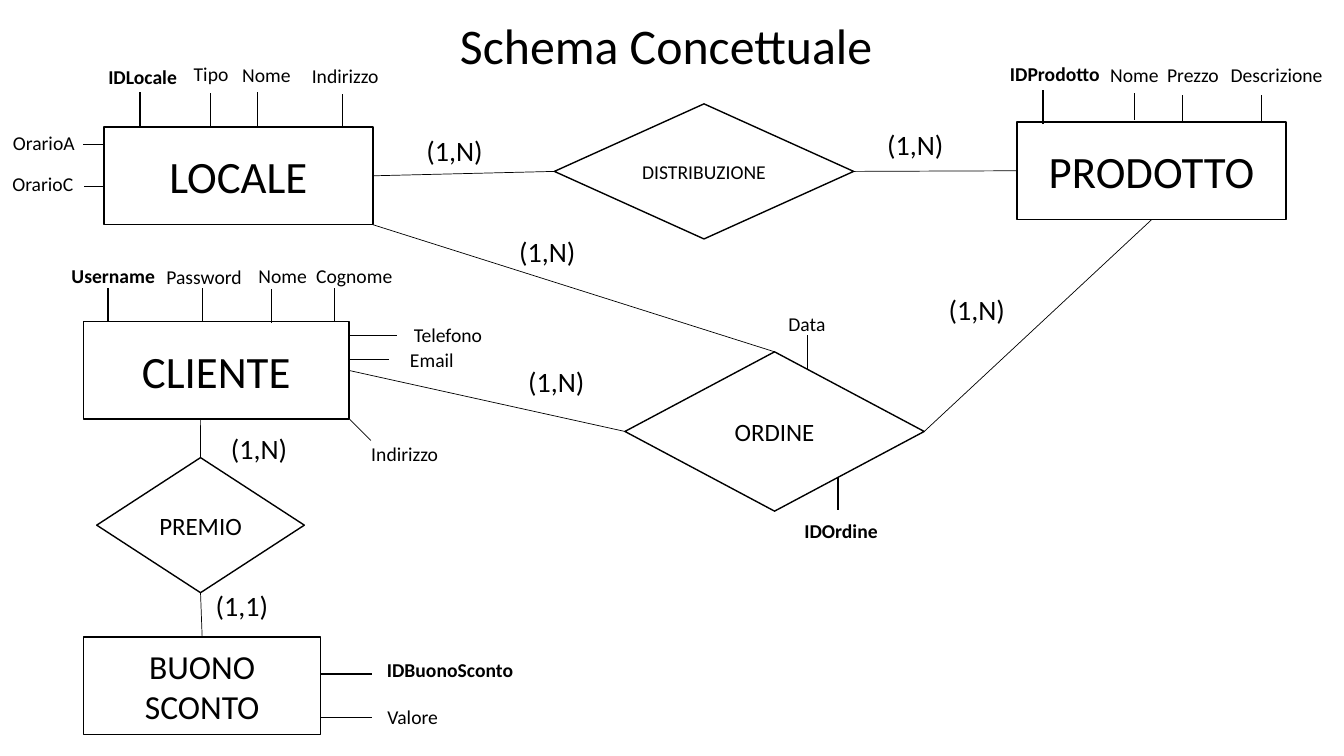
from lxml import etree
from pptx import Presentation
from pptx import util as u
from pptx.dml import color as c
from pptx.enum import shapes as s, text as t
from pptx.oxml import ns

# Content: name -> left, top, width, height, text size
TITLE = "Schema Concettuale"
ENTITIES = {
    "LOCALE": (74.2, 90.7, 192.2, 69.8, 32),
    "PRODOTTO": (726.5, 87.1, 192.2, 69.8, 32),
    "CLIENTE": (59.8, 229.7, 189.4, 69.8, 32),
    "BUONO SCONTO": (59.8, 455, 169.2, 69.8, 24),
}
RELATIONS = {
    "DISTRIBUZIONE": (396, 74.2, 213.8, 96.5, 14),
    "ORDINE": (446.4, 251.3, 213.8, 113.8, 17.8),
    "PREMIO": (69.1, 326.9, 148.3, 96.5, 17.8),
}

# Anchors as fractions of a box; those in SITES are glued
TOP, LEFT, BOTTOM, RIGHT = (0.5, 0), (0, 0.5), (0.5, 1), (1, 0.5)
SITES = [TOP, LEFT, BOTTOM, RIGHT]
CORNER, ABOVE = (1, 1), (0.44, 1)

# Each link: start, end, cardinality, label centre
LINKS = [
    ("LOCALE", RIGHT, "DISTRIBUZIONE", LEFT, "(1,N)", 324.7, 107.3),
    ("DISTRIBUZIONE", RIGHT, "PRODOTTO", LEFT, "(1,N)", 653.8, 103),
    ("CLIENTE", RIGHT, "ORDINE", LEFT, "(1,N)", 397.4, 272.2),
    ("PRODOTTO", BOTTOM, "ORDINE", RIGHT, "(1,N)", 697.7, 221),
    ("LOCALE", CORNER, "ORDINE", TOP, "(1,N)", 391, 179.3),
    ("CLIENTE", ABOVE, "PREMIO", TOP, "(1,N)", 185, 320.4),
    ("PREMIO", BOTTOM, "BUONO SCONTO", TOP, "(1,1)", 172.8, 432),
]

# Attributes by stub direction: name, label centre, stub start
KEYS = {"IDLocale", "IDProdotto", "Username", "IDBuonoSconto", "IDOrdine"}
STUBS = {
    (0, -24): [
        ("IDLocale", 101.9, 54.7, 100.1, 90),
        ("Tipo", 150.8, 52.6, 150.5, 90.7),
        ("Nome", 190.4, 53.3, 183.6, 90),
        ("Indirizzo", 246.6, 54, 244.8, 91.4),
        ("Username", 81, 196.6, 77, 229.7),
        ("Password", 145.8, 197.3, 144.7, 229.7),
        ("Nome", 202, 196.6, 193.7, 230.4),
        ("Cognome", 253.1, 196.6, 239, 229.7),
        ("Data", 576.4, 231.1, 576.7, 263.5),
        ("IDProdotto", 753.5, 52.6, 745.2, 88.6),
    ],
    (0, -19): [
        ("Nome", 810.4, 53.3, 810, 85.7),
        ("Prezzo", 852.1, 53.3, 844.6, 87.1),
        ("Descrizione", 911.9, 53.3, 900.7, 87.1),
    ],
    (-15, 0): [
        ("OrarioA", 31.3, 102.2, 74.2, 103),
        ("OrarioC", 30.6, 131, 74.9, 133.2),
    ],
    (37, 0): [
        ("IDBuonoSconto", 321.5, 478.1, 229, 481.7),
        ("Valore", 294.8, 511.9, 229, 512.6),
    ],
    (34.6, 0): [("Telefono", 320, 239, 249.1, 239.8)],
    (28.8, 0): [("Email", 308.5, 257, 249.1, 257)],
    (15.8, 15.8): [("Indirizzo", 289.1, 324, 249.1, 298.8)],
    (0, 24): [("IDOrdine", 600.8, 378.7, 598.3, 340.6)],
}
COLORS = {"ink": "000000", "paper": "FFFFFF"}
INK = c.RGBColor.from_string(COLORS["ink"])
PAPER = c.RGBColor.from_string(COLORS["paper"])

deck = Presentation()
deck.slide_width, deck.slide_height = u.Pt(960), u.Pt(540)
slide = deck.slides.add_slide(deck.slide_layouts[5])
parts = slide.shapes


def write(shape, words, size, bold=False, wrap=True):
    frame = shape.text_frame
    frame.text = words
    style = {"word_wrap": wrap, "auto_size": t.MSO_AUTO_SIZE.NONE,
             "vertical_anchor": t.MSO_ANCHOR.MIDDLE}
    for key, val in style.items():
        setattr(frame, key, val)
    para = frame.paragraphs[0]
    para.alignment = t.PP_ALIGN.CENTER
    font = para.runs[0].font
    for key, val in {"name": "Calibri", "size": u.Pt(size), "bold": bold}.items():
        setattr(font, key, val)
    font.color.rgb = INK


def label(words, x, y, size, bold=False):
    wide, high = len(words) * size * 0.57, size * 1.75
    box = parts.add_textbox(*map(u.Pt, (x - wide / 2, y - high / 2, wide, high)))
    write(box, words, size, bold, False)


def line(start, end, width):
    wire = parts.add_connector(s.MSO_CONNECTOR.STRAIGHT, *map(u.Pt, start + end))
    wire.line.color.rgb = INK
    wire.line.width = u.Pt(width)
    etree.SubElement(wire.element.spPr, ns.qn("a:effectLst"))
    return wire


def point(name, at):
    left, top, wide, high = BOXES[name][:4]
    return left + wide * at[0], top + high * at[1]


# Title
head = parts.title
for key, val in {"left": 152, "top": 4, "width": 648, "height": 56}.items():
    setattr(head, key, u.Pt(val))
write(head, TITLE, 35.6)

# Entities and relations
BOXES = {**ENTITIES, **RELATIONS}
nodes = {}
for name, (*place, size) in BOXES.items():
    kind = (s.MSO_SHAPE.RECTANGLE if name in ENTITIES
            else s.MSO_SHAPE.FLOWCHART_DECISION)
    node = nodes[name] = parts.add_shape(kind, *map(u.Pt, place))
    node.shadow.inherit = False
    node.fill.solid()
    node.fill.fore_color.rgb = PAPER
    node.line.color.rgb = INK
    node.line.width = u.Pt(1)
    write(node, name, size)

# Links with cardinalities
for one, out, two, into, card, x, y in LINKS:
    wire = line(point(one, out), point(two, into), 0.5)
    if out in SITES:
        wire.begin_connect(nodes[one], SITES.index(out))
    if into in SITES:
        wire.end_connect(nodes[two], SITES.index(into))
    label(card, x, y, 20)

# Attributes; keys are bold with a thick stub
for (dx, dy), items in STUBS.items():
    for name, cx, cy, x, y in items:
        key = name in KEYS
        line((x, y), (x + dx, y + dy), 1.5 if key else 0.5)
        label(name, cx, cy, 14, key)

deck.save("out.pptx")
